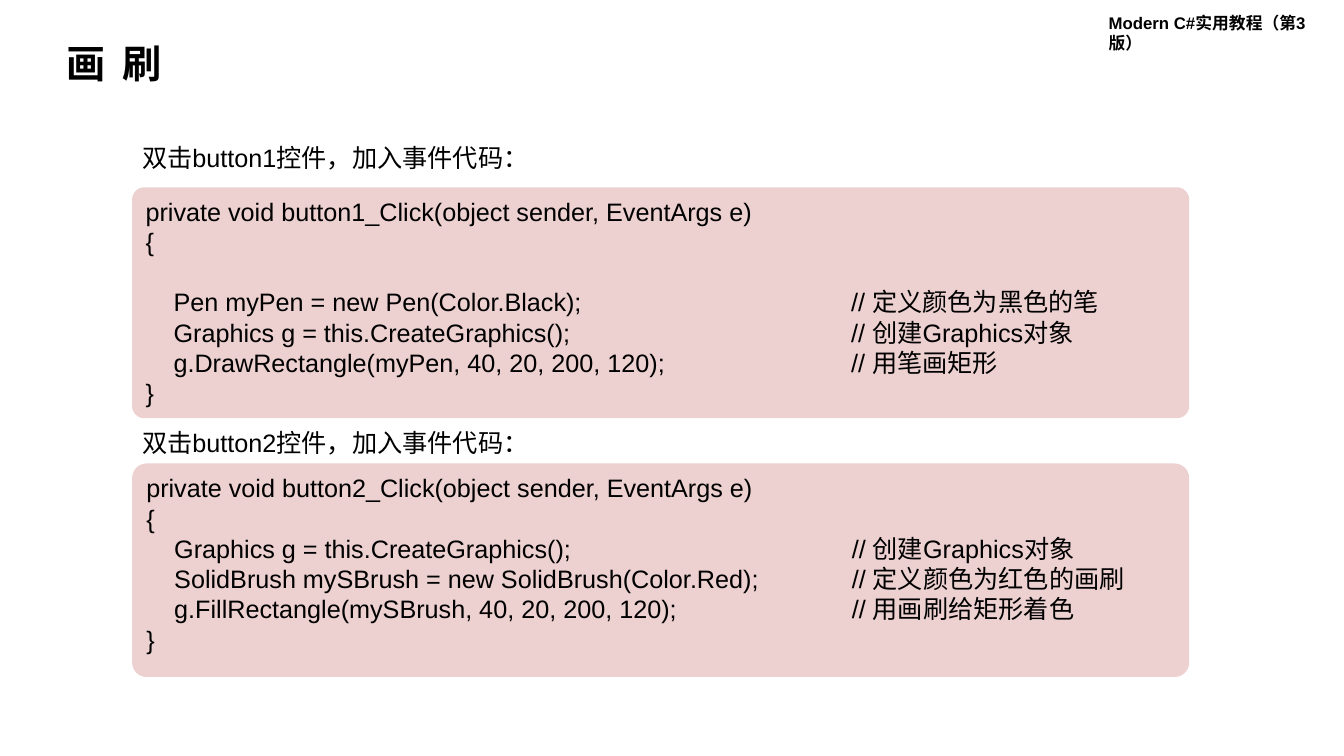
from pptx import Presentation
from pptx.dml.color import RGBColor
from pptx.enum.shapes import MSO_SHAPE
from pptx.enum.text import MSO_ANCHOR as ANCHOR, PP_ALIGN as ALIGN
from pptx.oxml import parse_xml
from pptx.oxml.ns import nsdecls
from pptx.util import Cm, Pt

BLACK = RGBColor(0x00, 0x00, 0x00)
PINK = RGBColor(0xED, 0xD0, 0xD0)

PEN_CODE = [
    "private void button1_Click(object sender, EventArgs e)",
    "{",
    "",
    "    Pen myPen = new Pen(Color.Black);\t// 定义颜色为黑色的笔",
    "    Graphics g = this.CreateGraphics();\t// 创建Graphics对象",
    "    g.DrawRectangle(myPen, 40, 20, 200, 120);\t// 用笔画矩形",
    "}",
]
BRUSH_CODE = [
    "private void button2_Click(object sender, EventArgs e)",
    "{",
    "    Graphics g = this.CreateGraphics();\t// 创建Graphics对象",
    "    SolidBrush mySBrush = new SolidBrush(Color.Red);\t// 定义颜色为红色的画刷",
    "    g.FillRectangle(mySBrush, 40, 20, 200, 120);\t// 用画刷给矩形着色",
    "}",
]


class SlideBuilder:
    font_name = "Arial"
    body_size = 18
    left = Cm(3.33)
    code_width = Cm(26.64)
    comment_tab = Cm(17.78)
    blank_line = Pt(21.7)

    def __init__(self, slide):
        self.slide = slide

    def style(self, p, size, bold=False):
        p.alignment = ALIGN.LEFT
        p.font.name = self.font_name
        p.font.size = Pt(size)
        p.font.bold = bold
        p.font.color.rgb = BLACK

    def text(self, text, x, y, w, h, size=body_size, bold=False, anchor=ANCHOR.TOP):
        tf = self.slide.shapes.add_textbox(x, y, w, h).text_frame
        tf.word_wrap = True
        tf.vertical_anchor = anchor
        p = tf.paragraphs[0]
        p.text = text
        self.style(p, size, bold)
        return p

    def label(self, text, y):
        self.text(text, self.left, y, Cm(10.34), Cm(1.02))

    def code(self, lines, y, h, corner):
        sp = self.slide.shapes.add_shape(
            MSO_SHAPE.ROUNDED_RECTANGLE, self.left, y, self.code_width, h)
        sp.adjustments[0] = corner
        sp.shadow.inherit = False
        sp.fill.solid()
        sp.fill.fore_color.rgb = PINK
        sp.line.fill.background()
        tf = sp.text_frame
        tf.word_wrap = True
        tf.vertical_anchor = ANCHOR.TOP
        p = tf.paragraphs[0]
        for i, line in enumerate(lines):
            if not line:
                continue
            if i:
                p = tf.add_paragraph()
            p.text = line
            if "\t" in line:
                self.add_tab(p)
            if i and not lines[i - 1]:
                p.space_before = self.blank_line
            self.style(p, self.body_size)

    def add_tab(self, p):
        p._p.get_or_add_pPr().append(parse_xml(
            f'<a:tabLst {nsdecls("a")}><a:tab pos="{self.comment_tab}" algn="l"/></a:tabLst>'))


def main():
    prs = Presentation()
    prs.slide_width, prs.slide_height = Cm(33.87), Cm(19.05)
    b = SlideBuilder(prs.slides.add_slide(prs.slide_layouts[6]))

    # Book name and title
    b.text("Modern C#实用教程（第3版）", Cm(27.69), Cm(0.2), Cm(6.2), Cm(0.76),
           size=12, bold=True)
    title = b.text("画 刷", Cm(1.42), Cm(0.99), Cm(13.74), Cm(1.32),
                   size=28, bold=True, anchor=ANCHOR.MIDDLE)
    title.line_spacing = 0.9
    title.runs[0]._r.get_or_add_rPr().set("spc", "300")  # widen the gap

    # Pen example
    b.label("双击button1控件，加入事件代码：", Cm(3.45))
    b.code(PEN_CODE, Cm(4.72), Cm(5.82), 0.053)

    # Brush example
    b.label("双击button2控件，加入事件代码：", Cm(10.64))
    b.code(BRUSH_CODE, Cm(11.68), Cm(5.38), 0.068)

    prs.save("out.pptx")


if __name__ == "__main__":
    main()
